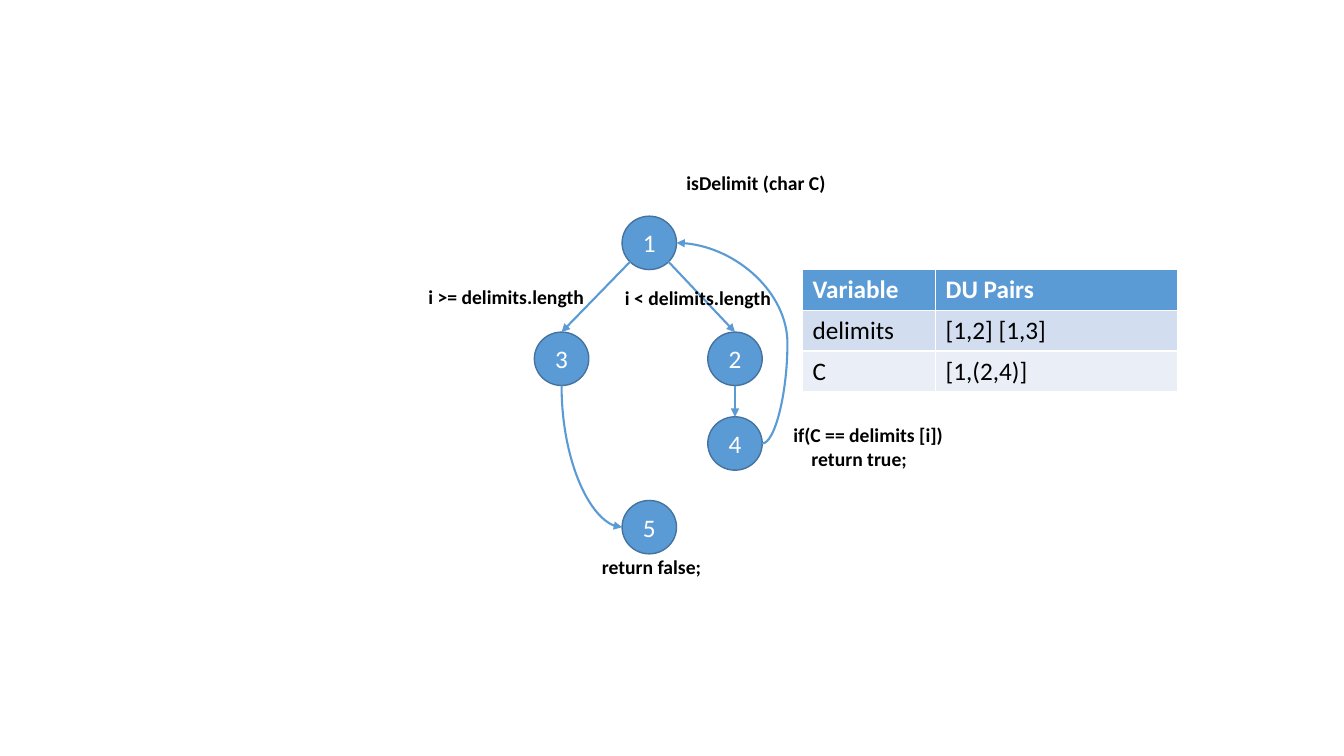
from lxml.etree import SubElement as Sub
from pptx import Presentation
from pptx.dml.color import RGBColor as RGB
from pptx.enum.shapes import MSO_CONNECTOR as Link, MSO_SHAPE as Shape
from pptx.enum.text import MSO_ANCHOR as Anchor, MSO_AUTO_SIZE as Auto, PP_ALIGN as Align
from pptx.oxml.ns import qn
from pptx.util import Inches, Pt

HUE = {"node": "5B9BD5", "edge": "43739E", "ink": "000000", "paper": "FFFFFF",
       "odd": "D2DEEF", "even": "EAEFF7"}
WIDE, HIGH = 0.54, 0.53
COLS = (1.42, 2.29, 3.14)
ROWS = (0.76, 1.91, 2.75, 3.58)
NODES = {"1": (1, 0), "2": (2, 1), "3": (0, 1), "4": (2, 2), "5": (1, 3)}
NOTES = [
    (2.56, 0, 1.6, ["isDelimit (char C)"]),
    (1.95, 1.14, 1.66, ["i < delimits.length"]),
    (0, 1.13, 1.76, ["i >= delimits.length"]),
    (3.62, 2.5, 1.7, ["if(C == delimits [i])", "return true;"]),
    (1.72, 3.81, 1.19, ["return false;"]),
]
PAIRS = [("Variable", "DU Pairs"), ("delimits", "[1,2] [1,3]"), ("C", "[1,(2,4)]")]


def hue(name):
    """Return the named colour."""
    return RGB.from_string(HUE[name])


def style(para, size, ink, bold=False):
    """Format the runs of a paragraph."""
    for run in para.runs:
        font = run.font
        font.name, font.size, font.bold = "Calibri", Pt(size), bold
        font.color.rgb = hue(ink)


def node(slide, x, y, name):
    """Draw a numbered circle centred on a point."""
    disc = slide.shapes.add_shape(Shape.OVAL, Inches(x - WIDE / 2), Inches(y - HIGH / 2),
                                  Inches(WIDE), Inches(HIGH))
    disc.shadow.inherit = False
    disc.fill.solid()
    disc.fill.fore_color.rgb = hue("node")
    disc.line.color.rgb = hue("edge")
    disc.line.width = Pt(1)
    frame = disc.text_frame
    frame.text = name
    frame.vertical_anchor = Anchor.MIDDLE
    frame.paragraphs[0].alignment = Align.CENTER
    style(frame.paragraphs[0], 18, "paper")


def arrow(slide, start, end, kind=Link.STRAIGHT):
    """Draw an arrow between two points."""
    link = slide.shapes.add_connector(kind, *map(Inches, start + end))
    link.line.color.rgb = hue("node")
    link.line.width = Pt(1.5)
    Sub(link.line._get_or_add_ln(), qn("a:tailEnd"), type="triangle")
    props = link._element.spPr
    Sub(props, qn("a:effectLst"))
    return props


def bend(slide, start, end):
    """Draw a curve that leaves downwards and arrives sideways."""
    (ax, ay), (bx, by) = start, end
    x, y = (ax + bx) / 2, (ay + by) / 2
    w, h = (by - ay) / 2, (bx - ax) / 2
    props = arrow(slide, (x + w, y - h), (x - w, y + h), Link.CURVE)
    props.find(qn("a:xfrm")).set("rot", str(270 * 60000))
    props.find(qn("a:prstGeom")).set("prst", "curvedConnector2")


def loop(slide, start, end, bulge):
    """Draw a curve that swings out past its start by a share of its width."""
    props = arrow(slide, start, end, Link.CURVE)
    guides = props.find(qn("a:prstGeom")).find(qn("a:avLst"))
    Sub(guides, qn("a:gd"), name="adj1", fmla=f"val {round(-bulge * 100000)}")


def note(slide, x, y, width, lines):
    """Write a bold label, with later lines indented."""
    box = slide.shapes.add_textbox(Inches(x), Inches(y), Inches(width),
                                   Inches(0.11 + 0.23 * len(lines)))
    frame = box.text_frame
    frame.text = "\n".join(lines)
    frame.word_wrap = False
    frame.auto_size = Auto.SHAPE_TO_FIT_TEXT
    for rank, para in enumerate(frame.paragraphs):
        style(para, 14, "ink", True)
        if rank:
            para._p.get_or_add_pPr().set("marL", str(Inches(0.18)))


def graph(slide, left, top):
    """Draw the flow graph with its labels."""
    spots = {name: (left + COLS[c], top + ROWS[r]) for name, (c, r) in NODES.items()}

    def port(name, dx, dy):
        """Return a point on a node, in radii from its centre."""
        x, y = spots[name]
        return x + dx * WIDE / 2, y + dy * HIGH / 2

    for name, spot in spots.items():
        node(slide, *spot, name)
    arrow(slide, port("1", -0.7, 0.7), port("3", 0, -1))
    arrow(slide, port("1", 0.7, 0.7), port("2", 0, -1))
    arrow(slide, port("2", 0, 1), port("4", 0, -1))
    bend(slide, port("3", 0, 1), port("5", -1, 0))
    loop(slide, port("4", 1, 0), port("1", 1, 0), 0.295)
    for x, y, width, lines in NOTES:
        note(slide, left + x, top + y, width, lines)


def table(slide, left, top, widths, height):
    """Fill the table of definition-use pairs."""
    grid = slide.shapes.add_table(len(PAIRS), len(widths), Inches(left), Inches(top),
                                  Inches(sum(widths)), Inches(height)).table
    for col, width in zip(grid.columns, widths):
        col.width = Inches(width)
    for r, texts in enumerate(PAIRS):
        for c, text in enumerate(texts):
            cell = grid.cell(r, c)
            cell.fill.solid()
            cell.fill.fore_color.rgb = hue(("node", "odd", "even")[r])
            cell.text_frame.text = text
            style(cell.text_frame.paragraphs[0], 18, "ink" if r else "paper", r == 0)


def main():
    """Build and save the slide."""
    deck = Presentation()
    deck.slide_width, deck.slide_height = Inches(13.33), Inches(7.5)
    slide = deck.slides.add_slide(deck.slide_layouts[6])
    graph(slide, 4.15, 1.65)
    table(slide, 7.96, 2.67, (1.32, 2.4), 1.22)
    deck.save("out.pptx")


if __name__ == "__main__":
    main()
